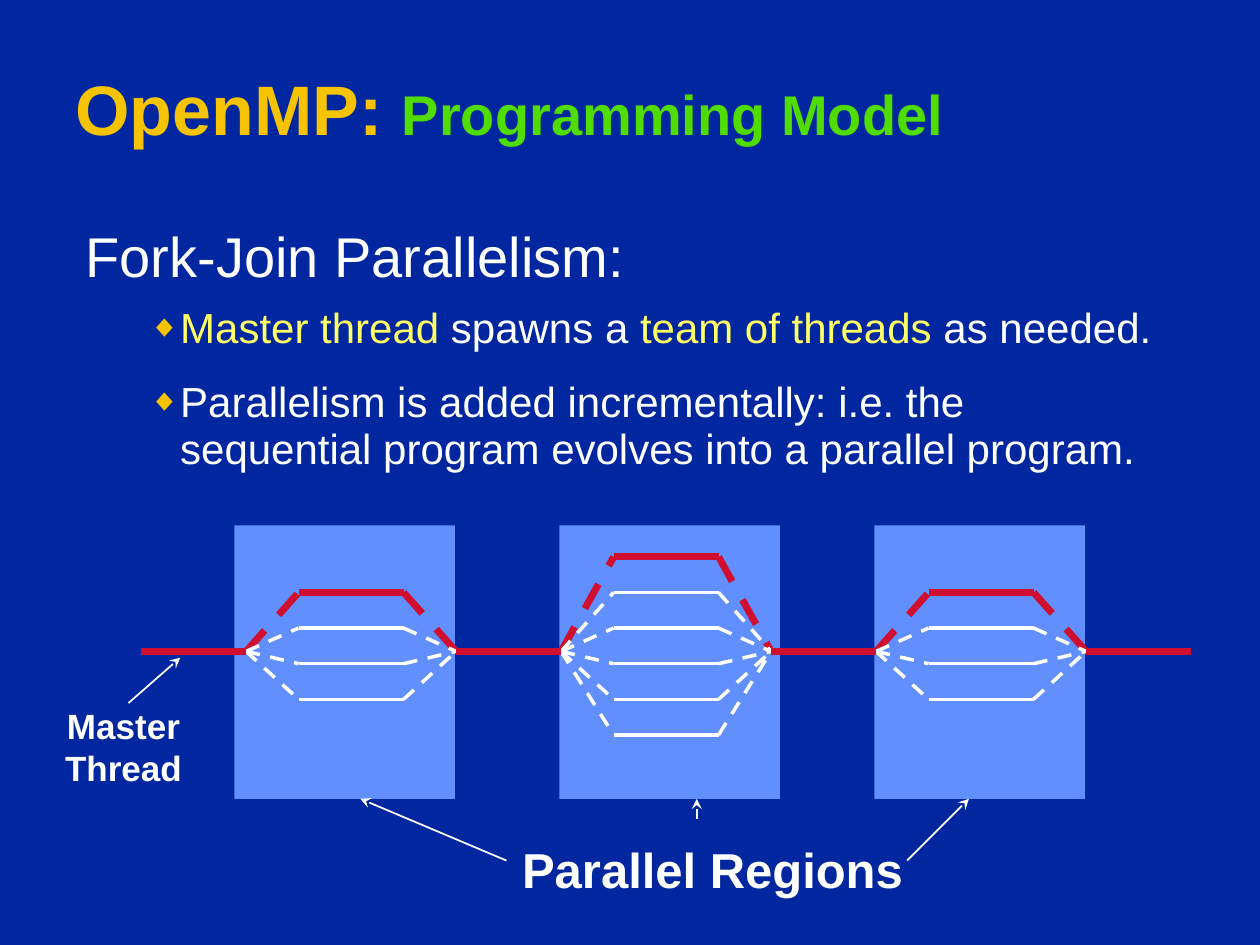
from lxml.etree import SubElement
from pptx import Presentation
from pptx.dml.color import RGBColor
from pptx.enum.dml import MSO_LINE
from pptx.enum.shapes import MSO_CONNECTOR, MSO_SHAPE
from pptx.enum.text import MSO_ANCHOR, MSO_AUTO_SIZE, PP_ALIGN
from pptx.oxml.ns import qn
from pptx.util import Inches, Pt

COLORS = {
    "background": "00279F", "gold": "F5C300", "green": "51DC00",
    "yellow": "FFFF66", "white": "FFFFFF", "panel": "618FFD", "master": "CF0E30",
}
FONT = "Arial"
COLUMN = 10 / 24
ROW = 0.2825
PITCH = 6 * COLUMN
FIRST_ROW = 0.25
AXIS = 1.0


def color(name):
    return RGBColor.from_string(COLORS[name])


def place(shape, box):
    shape.left, shape.top, shape.width, shape.height = map(Inches, box)


def format_run(run, size, color_name, bold=False):
    run.font.name = FONT
    run.font.size = Pt(size)
    run.font.bold = bold
    run.font.color.rgb = color(color_name)


def add_runs(paragraph, parts, size, bold=False):
    for text, color_name in parts:
        run = paragraph.add_run()
        run.text = text
        format_run(run, size, color_name, bold)


def set_bullet(paragraph, margin, indent, symbol=None):
    properties = paragraph._p.get_or_add_pPr()
    properties.set("marL", str(Inches(margin)))
    properties.set("indent", str(Inches(indent)))
    if symbol is None:
        SubElement(properties, qn("a:buNone"))
        return
    bullet_color = SubElement(properties, qn("a:buClr"))
    SubElement(bullet_color, qn("a:srgbClr"), val=COLORS["gold"])
    SubElement(properties, qn("a:buSzPct"), val="75000")
    SubElement(properties, qn("a:buFont"), typeface=FONT)
    SubElement(properties, qn("a:buChar"), char=symbol)


def add_line(slide, start, end, color_name="white", width=2, dashed=False, arrow=False):
    line = slide.shapes.add_connector(
        MSO_CONNECTOR.STRAIGHT, *map(Inches, (*start, *end)))
    line.line.color.rgb = color(color_name)
    line.line.width = Pt(width)
    if dashed:
        line.line.dash_style = MSO_LINE.DASH
    if arrow:
        SubElement(line.line._get_or_add_ln(), qn("a:tailEnd"), type="stealth")
    SubElement(line._element.spPr, qn("a:effectLst"))


def add_title(slide, box):
    title = slide.shapes.title
    place(title, box)
    frame = title.text_frame
    frame.auto_size = MSO_AUTO_SIZE.NONE
    frame.vertical_anchor = MSO_ANCHOR.MIDDLE
    paragraph = frame.paragraphs[0]
    paragraph.alignment = PP_ALIGN.LEFT
    paragraph.line_spacing = 0.89
    add_runs(paragraph, [("OpenMP: ", "gold")], 40, True)
    add_runs(paragraph, [("Programming Model", "green")], 32, True)


def add_body(slide, box):
    body = slide.placeholders[1]
    place(body, box)
    frame = body.text_frame
    frame.auto_size = MSO_AUTO_SIZE.NONE
    heading = frame.paragraphs[0]
    set_bullet(heading, 0.31, -0.31)
    heading.line_spacing = 0.94
    heading.space_before = Pt(0)
    add_runs(heading, [("Fork-Join Parallelism:", "white")], 32)
    points = [
        (9, [("Master thread", "yellow"), (" spawns a ", "white"),
             ("team of threads", "yellow"), (" as needed.", "white")]),
        (15, [("Parallelism is added incrementally: i.e. the sequential program "
               "evolves into a parallel program.", "white")]),
    ]
    for space, parts in points:
        paragraph = frame.add_paragraph()
        paragraph.level = 1
        set_bullet(paragraph, 0.75, -0.25, "◆")
        paragraph.line_spacing = 0.94
        paragraph.space_before = Pt(space)
        add_runs(paragraph, parts, 24)


def add_panel(slide, box):
    panel = slide.shapes.add_shape(MSO_SHAPE.RECTANGLE, *map(Inches, box))
    panel.shadow.inherit = False
    panel.fill.solid()
    panel.fill.fore_color.rgb = color("panel")
    panel.line.fill.background()


def add_region(slide, box, fork, rows):
    add_panel(slide, box)
    top = box[1]
    axis = top + AXIS
    split, merge, join = (fork + COLUMN * step for step in (1, 3, 4))
    for row in rows:
        y = top + FIRST_ROW + ROW * row
        style = ("master", 4) if row == rows[0] else ("white", 2)
        add_line(slide, (split, y), (merge, y), *style)
        add_line(slide, (fork, axis), (split, y), *style, dashed=True)
        add_line(slide, (merge, y), (join, axis), *style, dashed=True)


def add_diagram(slide, box):
    left, top, width, height = box
    regions = [(0.74, 1.75, range(1, 5)), (3.32, 1.75, range(6)), (5.82, 1.67, range(1, 5))]
    for index, (offset, panel_width, rows) in enumerate(regions):
        fork = left + 2 * COLUMN + PITCH * index
        add_region(slide, (left + offset, top, panel_width, height), fork, rows)
    for index in range(len(regions) + 1):
        start = left + PITCH * index
        add_line(slide, (start, top + AXIS), (start + 2 * COLUMN, top + AXIS), "master", 4)


def add_label(slide, box, text, size, arrows):
    label = slide.shapes.add_textbox(*map(Inches, box))
    frame = label.text_frame
    frame.word_wrap = True
    frame.text = text
    paragraph = frame.paragraphs[0]
    paragraph.alignment = PP_ALIGN.CENTER
    format_run(paragraph.runs[0], size, "white", True)
    left, top = box[:2]
    for x, y, end_x, end_y in arrows:
        add_line(slide, (left + x, top + y), (left + end_x, top + end_y), width=1, arrow=True)


def main():
    presentation = Presentation()
    presentation.slide_width = Inches(10)
    presentation.slide_height = Inches(7.5)
    slide = presentation.slides.add_slide(presentation.slide_layouts[1])
    slide.background.fill.solid()
    slide.background.fill.fore_color.rgb = color("background")
    add_title(slide, (0.5, 0.27, 9.29, 1.25))
    add_body(slide, (0.58, 1.75, 8.75, 1.96))
    add_diagram(slide, (1.12, 4.17, 20 * COLUMN, 2.17))
    add_label(slide, (3.53, 6.61, 4.25, 0.57), "Parallel Regions", 28,
              [(3.67, 0.22, 4.16, -0.27), (0.49, 0.22, -0.67, -0.27), (2, -0.11, 2, -0.27)])
    add_label(slide, (0.32, 5.54, 1.32, 0.77), "Master Thread", 20,
              [(0.7, 0.04, 1.11, -0.32)])
    presentation.save("out.pptx")


if __name__ == "__main__":
    main()
